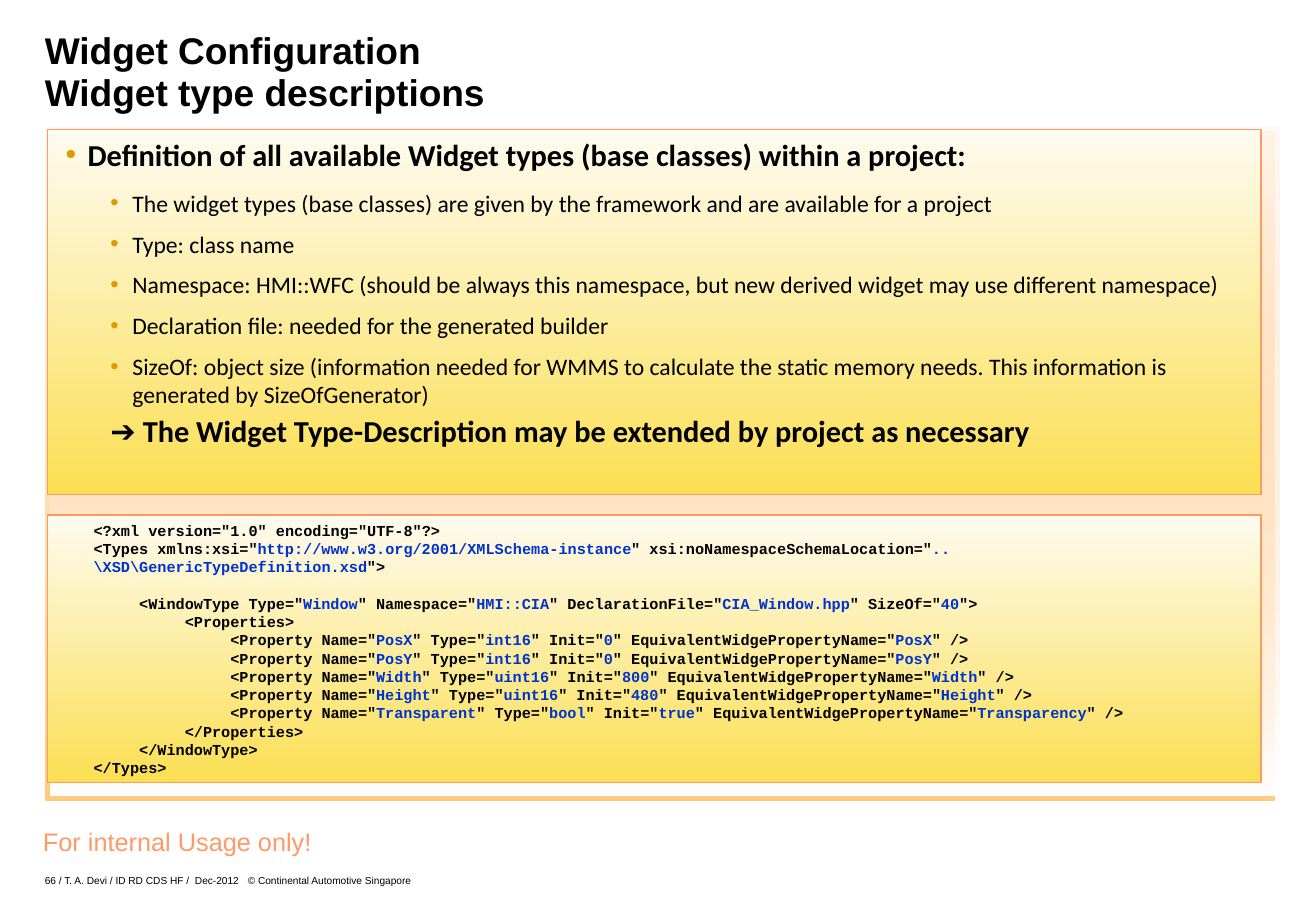
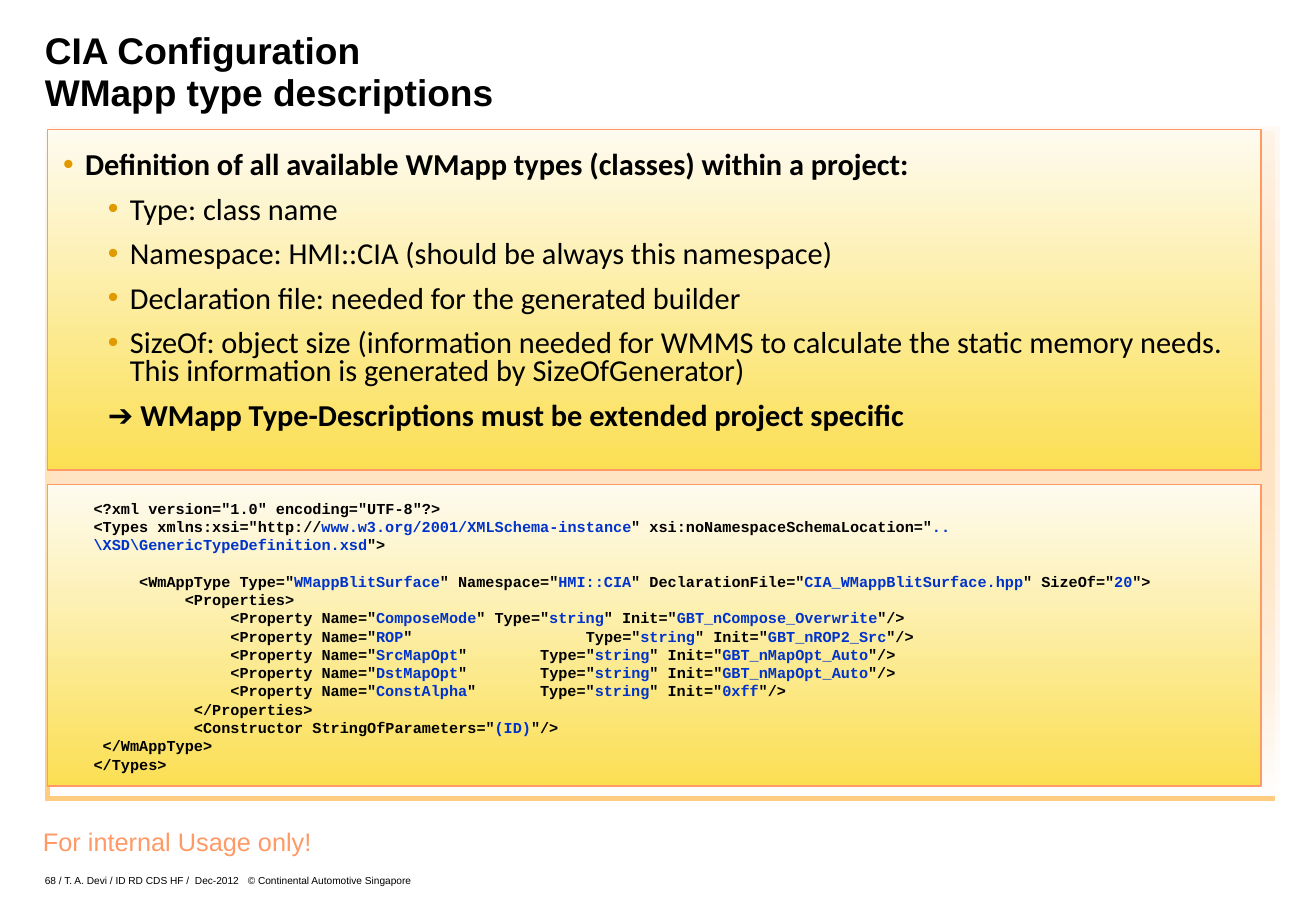
from lxml.etree import SubElement
from pptx import Presentation
from pptx.dml.color import RGBColor
from pptx.enum.shapes import MSO_SHAPE as Shape
from pptx.enum.text import MSO_ANCHOR as Anchor, PP_ALIGN as Align
from pptx.oxml.ns import qn
from pptx.util import Pt

BLACK = RGBColor(0x00, 0x00, 0x00)
WHITE = RGBColor(0xFF, 0xFF, 0xFF)
BLUE = RGBColor(0x00, 0x33, 0xCC)
ORANGE = RGBColor(0xFF, 0x99, 0x66)
PEACH = RGBColor(0xFF, 0xCC, 0x99)
SHADOW = RGBColor(0xFF, 0x99, 0x00)
BULLET = RGBColor(0xE1, 0x99, 0x00)
CREAM = RGBColor(0xFE, 0xFB, 0xF0)
YELLOW = RGBColor(0xFB, 0xDF, 0x53)

PANEL_LEFT, PANEL_WIDTH, PANEL_TOP = 28.1, 719.3, 77
HEADING_SIZE = 18
CODE_LINE = 10.84

SIZE_NOTE = ("SizeOf: object size (information needed for WMMS to calculate the static "
             "memory needs. This information is generated by SizeOfGenerator)")
BUILDER_NOTE = "Declaration file: needed for the generated builder"

# In code lines, "|" switches between black markup and blue values.
XML_HEAD = '<?xml version="1.0" encoding="UTF-8"?>'
SCHEMA = '" xsi:noNamespaceSchemaLocation="|..\\XSD\\GenericTypeDefinition.xsd|">'


def add_child(parent, tag, **attributes):
    return SubElement(parent, qn(tag), {key: str(value) for key, value in attributes.items()})


def add_gradient_box(page, place, top_colour, bottom_colour):
    box = page.shapes.add_shape(Shape.RECTANGLE, *map(Pt, place))
    box.shadow.inherit = False
    box.fill.gradient()
    box.fill.gradient_angle = 270
    for stop, colour in zip(box.fill.gradient_stops, (top_colour, bottom_colour)):
        stop.color.rgb = colour
    return box


def add_panel(page, top, height):
    box = add_gradient_box(page, (PANEL_LEFT, top, PANEL_WIDTH, height), CREAM, YELLOW)
    box.line.color.rgb = ORANGE
    box.line.width = Pt(0.75)


def add_backdrop(page):
    """Large panel whose top is nearly clear, with a shadow to the lower left."""
    box = add_gradient_box(page, (30.2, 74.9, 727.9, 396.7), PEACH, WHITE)
    box.line.fill.background()
    properties = box.element.spPr
    first_colour = properties.find(".//" + qn("a:srgbClr"))
    add_child(first_colour, "a:alpha", val=10000)
    shadow = add_child(properties.find(qn("a:effectLst")), "a:outerShdw",
                       dist=Pt(4.2), dir=135 * 60000, algn="ctr", rotWithShape=0)
    add_child(add_child(shadow, "a:srgbClr", val=SHADOW), "a:alpha", val=50000)


def add_text_box(page, place, inset=(0, 0), anchor=Anchor.TOP, wrap=True):
    frame = page.shapes.add_textbox(*map(Pt, place)).text_frame
    frame.word_wrap = wrap
    frame.vertical_anchor = anchor
    frame.margin_left = frame.margin_right = Pt(inset[0])
    frame.margin_top = frame.margin_bottom = Pt(inset[1])
    return frame


def next_para(frame, index):
    return frame.add_paragraph() if index else frame.paragraphs[0]


def add_span(para, text, font, size, colour=BLACK, bold=False):
    span = para.add_run()
    span.text = text
    span.font.name = font
    span.font.size = Pt(size)
    span.font.color.rgb = colour
    span.font.bold = bold


def add_title(page, lines):
    frame = add_text_box(page, (26.6, 18, 727.2, 49.7), anchor=Anchor.BOTTOM)
    para = frame.paragraphs[0]
    para.line_spacing = Pt(24.8)
    for index, line in enumerate(lines):
        if index:
            para.add_line_break()
        add_span(para, line, "Arial", 22, bold=True)


def add_footer(page, number):
    label = add_text_box(page, (18, 486, 174.2, 25.2), (7.2, 3.6), wrap=False).paragraphs[0]
    label.alignment = Align.CENTER
    add_span(label, "For internal Usage only!", "Arial", 15, ORANGE)

    frame = add_text_box(page, (26.6, 514.1, 247, 11.5), anchor=Anchor.BOTTOM)
    para = frame.paragraphs[0]
    tabs = add_child(para._p.get_or_add_pPr(), "a:tabLst")
    for position in (89, 120.3):
        add_child(tabs, "a:tab", pos=Pt(position), algn="l")
    para.line_spacing = Pt(5.5)
    add_span(para, f"{number} / T. A. Devi / ID RD CDS HF /\tDec-2012\t"
             "© Continental Automotive Singapore", "Arial", 6)


def add_page(deck, number, title_lines):
    page = deck.slides.add_slide(deck.slide_layouts[6])
    add_backdrop(page)
    add_footer(page, number)
    add_title(page, title_lines)
    return page


def add_point(para, text, indent, size, bold, bulleted):
    properties = para._p.get_or_add_pPr()
    properties.set("marL", str(Pt(indent)))
    properties.set("indent", str(Pt(-13)))
    if bulleted:
        add_child(add_child(properties, "a:buClr"), "a:srgbClr", val=BULLET)
        add_child(properties, "a:buFont", typeface="Arial")
        add_child(properties, "a:buChar", char="•")
    para.line_spacing = Pt(16.5)
    para.space_after = Pt(0.55 * size)
    add_span(para, text, "Calibri", size, bold=bold)


def add_points(page, panel_height, place, heading, items, item_size, conclusion):
    add_panel(page, PANEL_TOP, panel_height)
    frame = add_text_box(page, place)
    add_point(frame.paragraphs[0], heading, 13, HEADING_SIZE, True, True)
    for item in items:
        add_point(frame.add_paragraph(), item, 39.6, item_size, False, True)
    add_point(frame.add_paragraph(), "➔ " + conclusion, 39.6, HEADING_SIZE, True, False)


def add_code(page, panel_top, panel_height, place, header, body):
    """Two code blocks in one box, set one line apart."""
    add_panel(page, panel_top, panel_height)
    frame = add_text_box(page, place, (6.5, 3.6))
    for index, line in enumerate(header + body):
        para = next_para(frame, index)
        para.line_spacing = Pt(CODE_LINE)
        if index == len(header):
            para.space_before = Pt(CODE_LINE)
        for part, text in enumerate(line.split("|")):
            add_span(para, text, "Courier New", 9, BLUE if part % 2 else BLACK, True)


def property_line(name, gap, kind, initial, ending):
    return (" " * 15 + f'<Property Name="|{name}|"' + " " * gap
            + f'Type="|{kind}|" Init="|{initial}|"{ending}')


def widget_page(deck):
    page = add_page(deck, 66, ["Widget Configuration", "Widget type descriptions"])
    add_points(
        page, 216, (38.9, 85.7, 699.8, 202.3),
        "Definition of all available Widget types (base classes) within a project:",
        ["The widget types (base classes) are given by the framework and are available "
         "for a project",
         "Type: class name",
         "Namespace: HMI::WFC (should be always this namespace, but new derived widget "
         "may use different namespace)",
         BUILDER_NOTE, SIZE_NOTE],
        14, "The Widget Type-Description may be extended by project as necessary")
    properties = [
        ("PosX", "int16", "0", "PosX"),
        ("PosY", "int16", "0", "PosY"),
        ("Width", "uint16", "800", "Width"),
        ("Height", "uint16", "480", "Height"),
        ("Transparent", "bool", "true", "Transparency"),
    ]
    add_code(
        page, 305.3, 158.4, (49, 305.3, 662.4, 160.6),
        [XML_HEAD, '<Types xmlns:xsi="|http://www.w3.org/2001/XMLSchema-instance|' + SCHEMA],
        ['     <WindowType Type="|Window|" Namespace="|HMI::CIA|" '
         'DeclarationFile="|CIA_Window.hpp|" SizeOf="|40|">',
         "          <Properties>",
         *(property_line(name, 1, kind, initial,
                         f' EquivalentWidgePropertyName="|{equivalent}|" />')
           for name, kind, initial, equivalent in properties),
         "          </Properties>",
         "     </WindowType>",
         "</Types>"])


def wmapp_page(deck):
    page = add_page(deck, 68, ["CIA Configuration", "WMapp type descriptions"])
    add_points(
        page, 201.6, (37.4, 91.4, 697, 180),
        "Definition of all available WMapp types (classes) within a project:",
        ["Type: class name",
         "Namespace: HMI::CIA (should be always this namespace)",
         BUILDER_NOTE, SIZE_NOTE],
        18, "WMapp Type-Descriptions must be extended project specific")
    properties = [
        ("ComposeMode", 1, "GBT_nCompose_Overwrite"),
        ("ROP", 19, "GBT_nROP2_Src"),
        ("SrcMapOpt", 8, "GBT_nMapOpt_Auto"),
        ("DstMapOpt", 8, "GBT_nMapOpt_Auto"),
        ("ConstAlpha", 7, "0xff"),
    ]
    add_code(
        page, 287.3, 178.6, (49, 292.3, 685.4, 169.9),
        [XML_HEAD, '<Types xmlns:xsi="http://|www.w3.org/2001/XMLSchema-instance|' + SCHEMA],
        ['     <WmAppType Type="|WMappBlitSurface|" Namespace="|HMI::CIA|" '
         'DeclarationFile="|CIA_WMappBlitSurface.hpp|" SizeOf="|20|">',
         "          <Properties>",
         *(property_line(name, gap, "string", initial, "/>")
           for name, gap, initial in properties),
         "           </Properties>",
         '           <Constructor StringOfParameters="|(ID)|"/>',
         " </WmAppType>",
         "</Types>"])


def main():
    deck = Presentation()
    deck.slide_width, deck.slide_height = Pt(780), Pt(540)
    widget_page(deck)
    wmapp_page(deck)
    deck.save("out.pptx")


if __name__ == "__main__":
    main()
